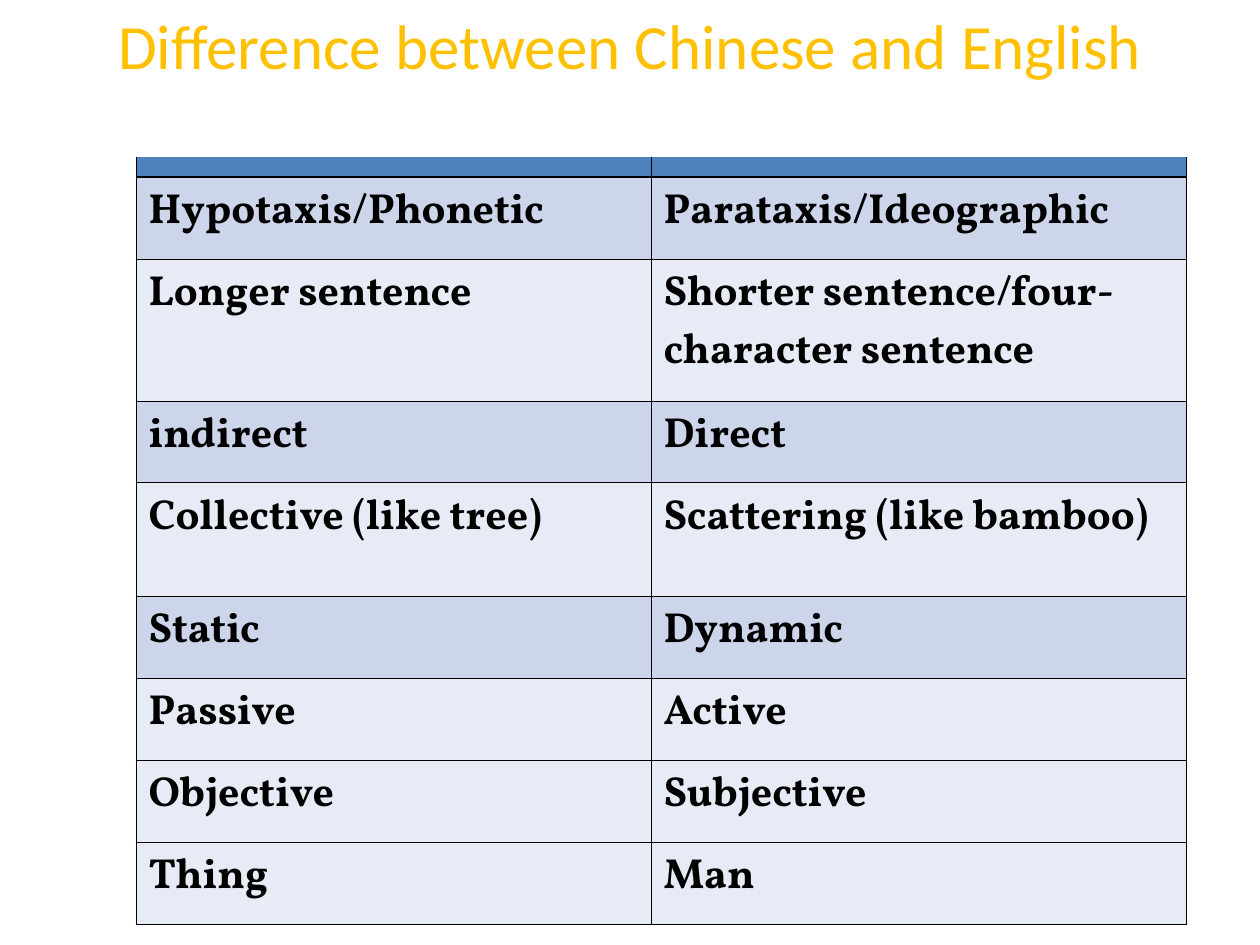
"""Build a slide with a table that compares English and Chinese."""
from lxml.etree import SubElement
from pptx import Presentation
from pptx.dml.color import RGBColor as RGB
from pptx.enum.shapes import MSO_SHAPE as SHAPE
from pptx.enum.text import MSO_ANCHOR as ANCHOR, PP_ALIGN as ALIGN
from pptx.oxml.ns import qn
from pptx.util import Pt

PX = 914400 // 126
WHITE = RGB(0xFF, 0xFF, 0xFF)
BLACK = RGB(0, 0, 0)
GOLD = RGB(0xFF, 0xC0, 0x00)
BLUE = RGB(0x4F, 0x81, 0xBD)
DARK = RGB(0xCC, 0xD5, 0xEA)
PALE = RGB(0xE7, 0xEB, 0xF5)
THIN, THICK = 0.45, 1.47

ROWS = [
    ("", "", 82, BLUE),
    ("Hypotaxis/Phonetic", "Parataxis/Ideographic", 82, DARK),
    ("Longer sentence", "Shorter sentence/four-character sentence", 142, PALE),
    ("indirect", "Direct", 82, DARK),
    ("Collective (like tree)", "Scattering (like bamboo)", 114, PALE),
    ("Static", "Dynamic", 82, DARK),
    ("Passive", "Active", 82, PALE),
    ("Objective", "Subjective", 82, PALE),
    ("Thing", "Man", 82, PALE),
]
COLS = [515, 535]


def style(par, name, size, color, bold):
    for run in par.runs:
        font = run.font
        font.name, font.size, font.bold = name, Pt(size), bold
        font.color.rgb = color


def border(cell, side, width):
    props = cell._tc.get_or_add_tcPr()
    line = SubElement(props, qn(f"a:ln{side}"), w=str(Pt(width)))
    fill = SubElement(line, qn("a:solidFill"))
    SubElement(fill, qn("a:srgbClr"), val=str(BLACK))


deck = Presentation()
deck.slide_width, deck.slide_height = 1260 * PX, 945 * PX
slide = deck.slides.add_slide(deck.slide_layouts[6])

high = sum(row[2] for row in ROWS)
frame = slide.shapes.add_table(
    len(ROWS), len(COLS), 136 * PX, 95 * PX, sum(COLS) * PX, high * PX)
table = frame.table
for col, wide in zip(table.columns, COLS):
    col.width = wide * PX

for i, (left, right, tall, shade) in enumerate(ROWS):
    table.rows[i].height = tall * PX
    for cell, text in zip(table.rows[i].cells, (left, right)):
        cell.text = text
        style(cell.text_frame.paragraphs[0], "Vollkorn", 24, BLACK, True)
        border(cell, "L", THIN)
        border(cell, "R", THIN)
        border(cell, "T", THICK if i == 1 else THIN)
        border(cell, "B", THICK if i == 0 else THIN)
        cell.fill.solid()
        cell.fill.fore_color.rgb = shade

title = slide.shapes.add_shape(SHAPE.RECTANGLE, 0, 0, 1260 * PX, 157 * PX)
title.shadow.inherit = False
title.fill.solid()
title.fill.fore_color.rgb = WHITE
title.line.fill.background()
body = title.text_frame
body.word_wrap = True
body.vertical_anchor = ANCHOR.TOP
body.margin_top = 7 * PX
body.text = "Difference between Chinese and English"
head = body.paragraphs[0]
head.alignment = ALIGN.CENTER
style(head, "Calibri", 36, GOLD, False)

deck.save("out.pptx")
